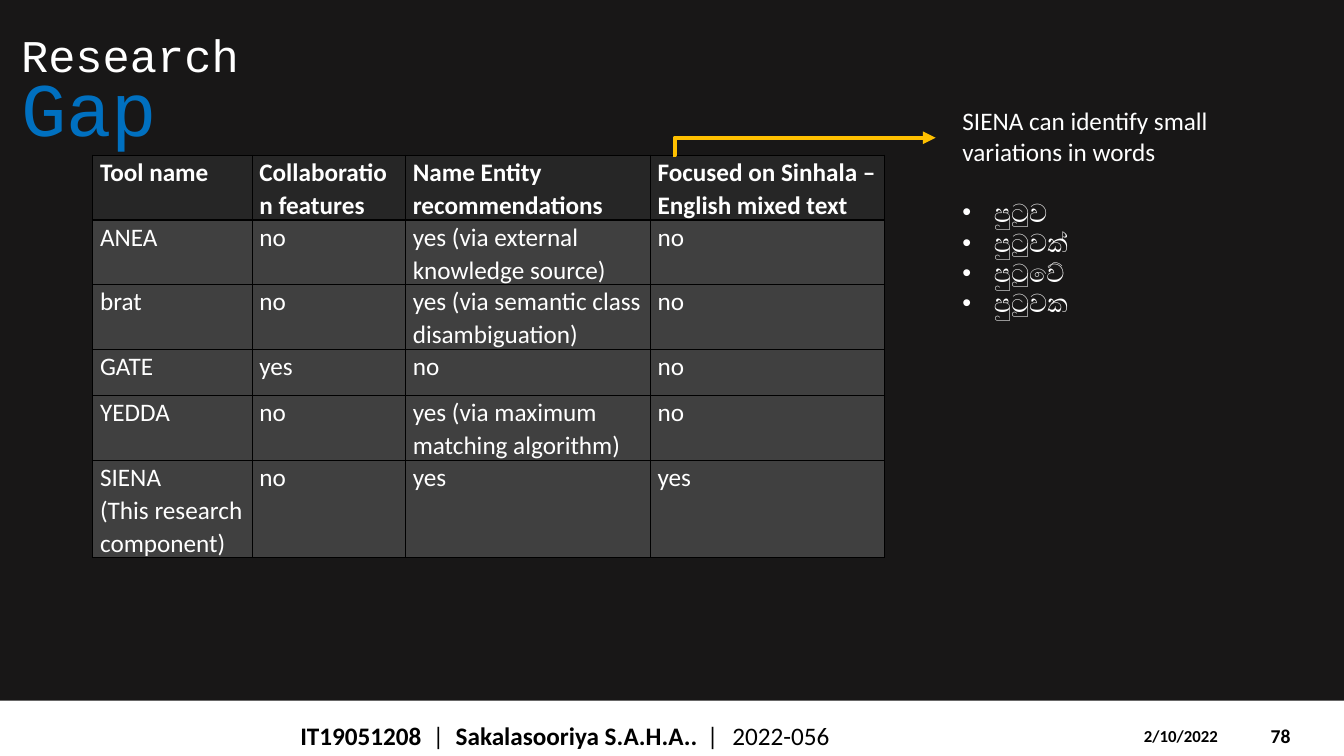
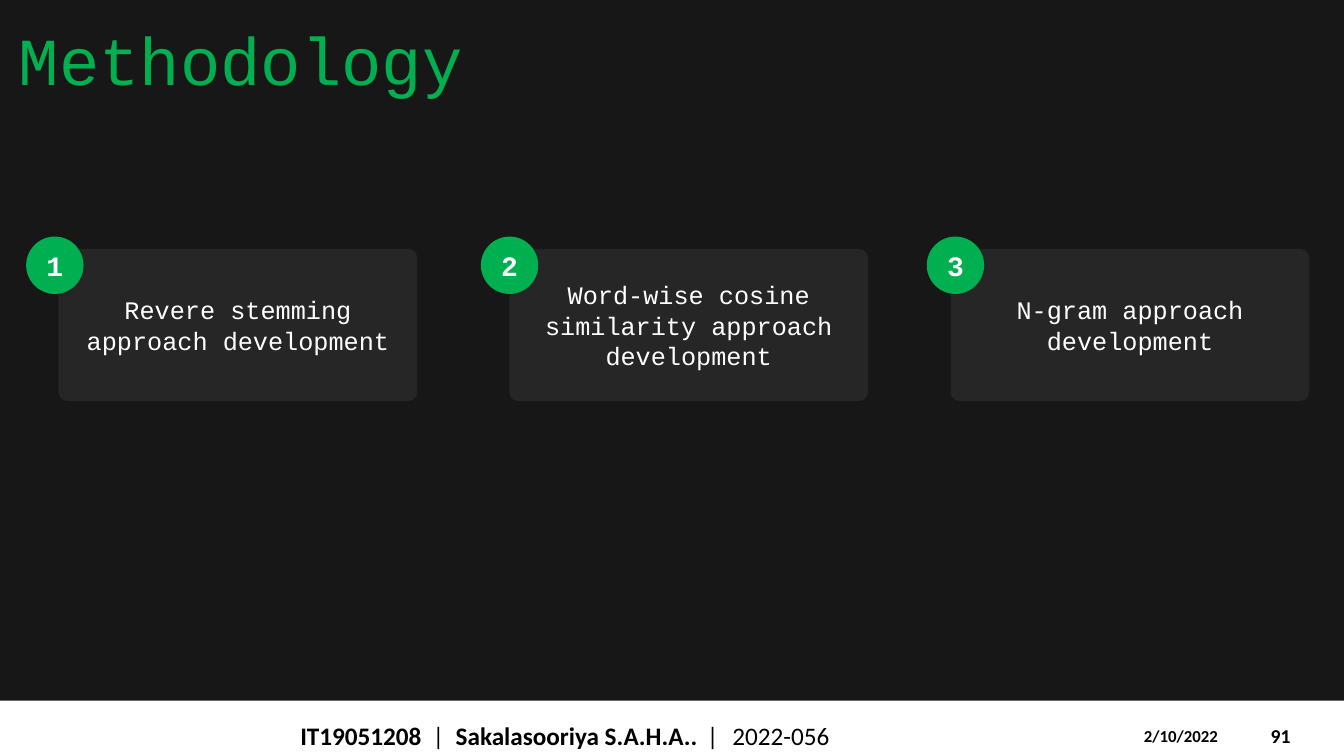
from dataclasses import dataclass
from lxml import etree
from pptx import Presentation
from pptx.dml.color import RGBColor
from pptx.enum.shapes import MSO_CONNECTOR, MSO_SHAPE
from pptx.enum.text import MSO_ANCHOR, PP_ALIGN
from pptx.oxml.ns import qn
from pptx.util import Pt

RECT, ROUND, OVAL = MSO_SHAPE.RECTANGLE, MSO_SHAPE.ROUNDED_RECTANGLE, MSO_SHAPE.OVAL
ELBOW = MSO_CONNECTOR.ELBOW
TOP, MID, LOW = MSO_ANCHOR.TOP, MSO_ANCHOR.MIDDLE, MSO_ANCHOR.BOTTOM
CENTER = PP_ALIGN.CENTER


@dataclass(frozen=True)
class Theme:
    back: str = "181717"
    white: str = "FFFFFF"
    black: str = "000000"
    panel: str = "262626"
    cell: str = "404040"
    blue: str = "0070C0"
    green: str = "00B050"
    gold: str = "FFC000"
    sans: str = "Calibri"
    mono: str = "Courier New"
    date: float = 12
    page: float = 14
    body: float = 18
    badge: float = 20
    lead: float = 32.4
    head: float = 48
    big: float = 54


T = Theme()

# Content
WIDE, HIGH = 960, 540
DATE = "2/10/2022"
OWNER = [("IT19051208", True), ("\t|\t", False),
         ("Sakalasooriya S.A.H.A..", True), ("\t|\t2022-056", False)]
STOPS = [94.6, 111, 290.5, 308.6]

TOOLS = [
    ["Tool name", "Collaboration features", "Name Entity recommendations",
     "Focused on Sinhala – English mixed text"],
    ["ANEA", "no", "yes (via external knowledge source)", "no"],
    ["brat", "no", "yes (via semantic class disambiguation)", "no"],
    ["GATE", "yes", "no", "no"],
    ["YEDDA", "no", "yes (via maximum matching algorithm)", "no"],
    ["SIENA\n(This research component)", "no", "yes", "yes"],
]
COLS = [113.8, 109.6, 174.9, 167.2]
ROWS = [41, 41, 41, 33, 41, 62]

NOTE = "SIENA can identify small variations in words"
WORDS = ["පුටුව", "පුටුවක්", "පුටුවේ", "පුටුවක"]

# Each step: text, card left, badge left
STEPS = [
    ("Revere stemming approach development", 41.8, 18.7),
    ("Word-wise cosine similarity approach development", 363.8, 343.5),
    ("N-gram approach development", 679, 662),
]


# Shared helpers
def rgb(code):
    return RGBColor.from_string(code)


def paint(part, code):
    part.fill.solid()
    part.fill.fore_color.rgb = rgb(code)


def style(font, size, color, face=T.sans, bold=False):
    font.size, font.name, font.bold = Pt(size), face, bold
    font.color.rgb = rgb(color)


def sub(node, tag, **attrs):
    return etree.SubElement(node, qn(tag), attrs)


def box(slide, left, top, width, height, anchor=TOP):
    shape = slide.shapes.add_textbox(Pt(left), Pt(top), Pt(width), Pt(height))
    frame = shape.text_frame
    frame.word_wrap = True
    frame.vertical_anchor = anchor
    return frame


def label(frame, text, *look):
    para = frame.paragraphs[0]
    para.text = text
    style(para.font, *look)
    return para


def block(slide, kind, left, top, width, height, fill):
    shape = slide.shapes.add_shape(kind, Pt(left), Pt(top), Pt(width), Pt(height))
    shape.shadow.inherit = False
    paint(shape, fill)
    shape.line.fill.background()
    shape.text_frame.word_wrap = True
    shape.text_frame.vertical_anchor = MID
    return shape


def start(deck, page):
    slide = deck.slides.add_slide(deck.slide_layouts[6])
    block(slide, RECT, 0, 500.4, WIDE, 39.6, T.white)
    label(box(slide, 900.6, 511.2, 53.3, 28.8, MID), str(page), T.page, T.black, T.sans, True)
    label(box(slide, 810, 514.8, 84.2, 21.6), DATE, T.date, T.black, T.sans, True)
    para = box(slide, 207.4, 511.2, 536.4, 28.8, MID).paragraphs[0]
    tabs = sub(para._p.get_or_add_pPr(), "a:tabLst")
    for stop in STOPS:
        sub(tabs, "a:tab", pos=str(Pt(stop)), algn="l")
    style(para.font, T.body, T.black)
    for text, bold in OWNER:
        run = para.add_run()
        run.text = text
        run.font.bold = bold
    return slide


# Research gap
def edge(cell):
    props = cell._tc.get_or_add_tcPr()
    for side in "LRTB":
        line = sub(props, "a:ln" + side, w=str(Pt(1)))
        sub(sub(line, "a:solidFill"), "a:srgbClr", val=T.black)


def grid(slide):
    frame = slide.shapes.add_table(len(ROWS), len(COLS), Pt(66.3), Pt(110.9),
                                   Pt(sum(COLS)), Pt(sum(ROWS)))
    table = frame.table
    table.first_row = table.horz_banding = False
    for col, width in zip(table.columns, COLS):
        col.width = Pt(width)
    for i, (row, high) in enumerate(zip(TOOLS, ROWS)):
        table.rows[i].height = Pt(high)
        for j, text in enumerate(row):
            cell = table.cell(i, j)
            edge(cell)
            paint(cell, T.cell if i else T.panel)
            cell.margin_left = cell.margin_right = Pt(5.2)
            cell.margin_top = cell.margin_bottom = 0
            cell.text = text
            for para in cell.text_frame.paragraphs:
                para.line_spacing = 1.07
                style(para.font, T.body, T.white, bold=i == 0)


def arrow(slide):
    link = slide.shapes.add_connector(ELBOW, Pt(480.5), Pt(111), Pt(668.3), Pt(98.4))
    link.line.color.rgb = rgb(T.gold)
    link.line.width = Pt(3)
    props = link._element.spPr
    sub(props.find(qn("a:ln")), "a:tailEnd", type="triangle")
    sub(props, "a:effectLst")
    geom = props.find(qn("a:prstGeom"))
    bend = geom.find(qn("a:avLst"))
    if bend is None:
        bend = sub(geom, "a:avLst")
    sub(bend, "a:gd", name="adj1", fmla="val 800")


def gap(deck):
    slide = start(deck, 78)
    para = box(slide, 8, 1.4, 757.4, 108.7, LOW).paragraphs[0]
    para.line_spacing = 0.7
    for text, size, color in [("Research", T.lead, T.white), (" ", T.big, T.white),
                              ("Gap", T.big, T.blue)]:
        if text == "Gap":
            para.add_line_break()
        run = para.add_run()
        run.text = text
        style(run.font, size, color, T.mono)
    grid(slide)
    arrow(slide)
    frame = box(slide, 680.4, 72, 206.6, 159.8)
    label(frame, NOTE, T.body, T.white)
    for i, word in enumerate(WORDS):
        para = frame.add_paragraph()
        para.text = word
        props = para._p.get_or_add_pPr()
        props.set("marL", str(Pt(22.5)))
        props.set("indent", str(-Pt(22.5)))
        sub(props, "a:buFont", typeface="Arial")
        sub(props, "a:buChar", char="•")
        if i == 0:
            para.space_before = Pt(22)
        style(para.font, T.body, T.white)


# Methodology
def method(deck):
    slide = start(deck, 91)
    para = label(box(slide, 6.5, 7.2, 828, 67.7, LOW), "Methodology", T.head, T.green, T.mono)
    para.line_spacing = 0.9
    for num, (text, left, dot) in enumerate(STEPS, 1):
        card = block(slide, ROUND, left, 177.8, 256.3, 108.7, T.panel)
        card.adjustments[0] = 0.06
        label(card.text_frame, text, T.body, T.white, T.mono).alignment = CENTER
        badge = block(slide, OVAL, dot, 169, 41, 41, T.green)
        label(badge.text_frame, str(num), T.badge, T.white, T.mono, True).alignment = CENTER


def main():
    deck = Presentation()
    deck.slide_width, deck.slide_height = Pt(WIDE), Pt(HIGH)
    paint(deck.slide_master.background, T.back)
    gap(deck)
    method(deck)
    deck.save("out.pptx")


if __name__ == "__main__":
    main()
